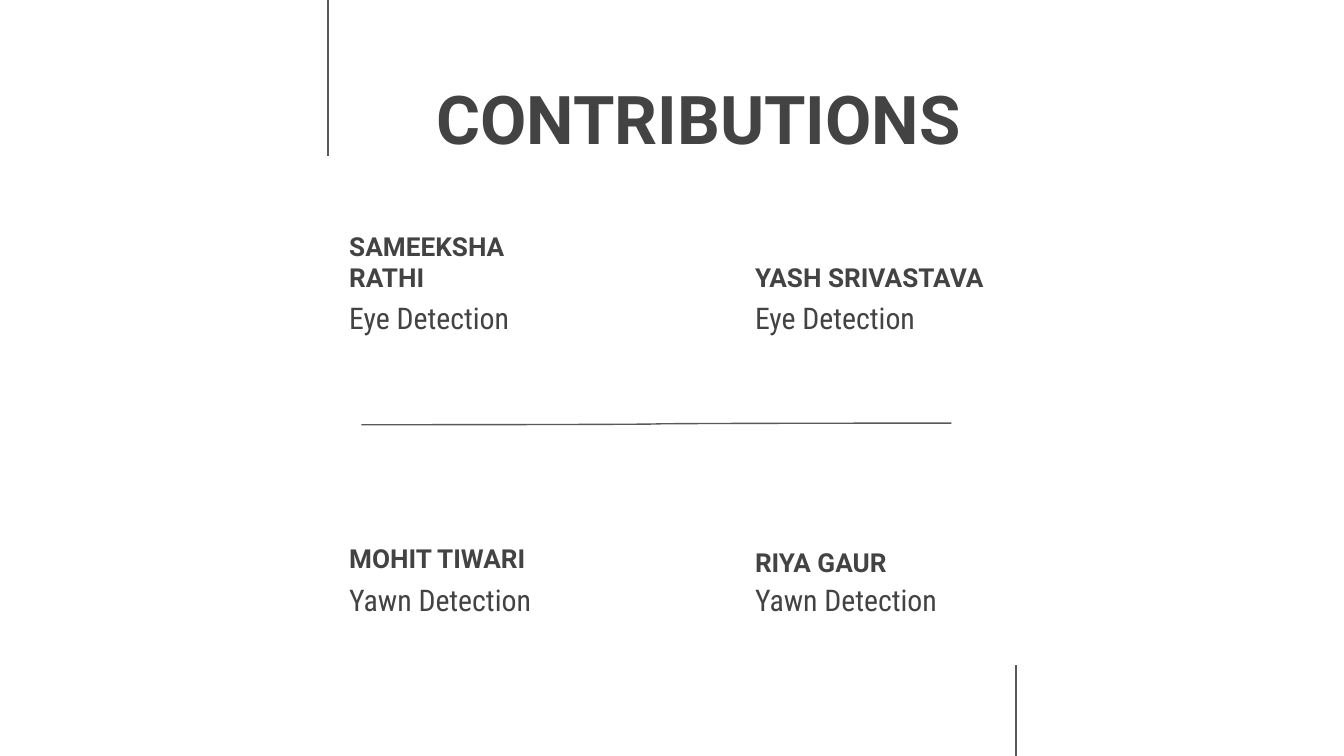
from lxml.etree import SubElement
from pptx import Presentation
from pptx.dml.color import RGBColor
from pptx.enum.shapes import MSO_CONNECTOR
from pptx.enum.text import MSO_ANCHOR, MSO_AUTO_SIZE, PP_ALIGN
from pptx.oxml.ns import qn
from pptx.util import Cm, Pt

INK = "434343"
RULE = "595959"
HEAD = {"name": "Roboto", "size": Pt(36), "bold": True}
NAME = {"name": "Roboto", "size": Pt(14), "bold": True}
ROLE = {"name": "Roboto Condensed", "size": Pt(16), "bold": False}
FRAME = {
    "word_wrap": True,
    "auto_size": MSO_AUTO_SIZE.NONE,
    "margin_left": Cm(0.25),
    "margin_right": Cm(0.25),
    "margin_top": Cm(0.25),
    "margin_bottom": Cm(0.25),
}
WIDE = 4.95
PEOPLE = [
    (6.35, 4.6, 5.41, "SAMEEKSHA RATHI", "Eye Detection"),
    (6.35, 9.91, 10.74, "MOHIT TIWARI", "Yawn Detection"),
    (14.02, 4.6, 5.41, "YASH SRIVASTAVA", "Eye Detection"),
    (14.02, 9.98, 10.74, "RIYA GAUR", "Yawn Detection"),
]


def paint(color, code):
    color.rgb = RGBColor.from_string(code)


def apply(thing, values):
    for key, value in values.items():
        setattr(thing, key, value)


def write(shape, text, font, anchor):
    frame = shape.text_frame
    apply(frame, FRAME)
    frame.vertical_anchor = anchor
    para = frame.paragraphs[0]
    para.alignment = PP_ALIGN.LEFT
    run = para.add_run()
    run.text = text
    apply(run.font, font)
    paint(run.font.color, INK)
    return para


def add_title(slide, text):
    title = slide.shapes.title
    apply(title, {"left": Cm(5.46), "top": Cm(0.99),
                  "width": Cm(14.48), "height": Cm(2.62)})
    para = write(title, text, HEAD, MSO_ANCHOR.TOP)
    para.line_spacing = 1.15
    props = para._p.get_or_add_pPr()
    for key in ("marL", "indent"):
        props.set(key, str(Cm(1.27)))


def add_text(slide, left, top, tall, text, font, anchor):
    box = slide.shapes.add_textbox(Cm(left), Cm(top), Cm(WIDE), Cm(tall))
    write(box, text, font, anchor)


def add_person(slide, left, top, low, name, role):
    add_text(slide, left, top, 1.19, name, NAME, MSO_ANCHOR.BOTTOM)
    add_text(slide, left, low, 2.79, role, ROLE, MSO_ANCHOR.TOP)


def add_line(slide, kind, *ends):
    line = slide.shapes.add_connector(kind, *map(Cm, ends))
    line.line.width = Pt(0.75)
    paint(line.line.color, RULE)
    SubElement(line._element.spPr, qn("a:effectLst"))


def main():
    deck = Presentation()
    apply(deck, {"slide_width": Cm(25.4), "slide_height": Cm(14.29)})
    slide = deck.slides.add_slide(deck.slide_layouts.get_by_name("Title Only"))
    add_title(slide, "CONTRIBUTIONS")
    for person in PEOPLE:
        add_person(slide, *person)
    add_line(slide, MSO_CONNECTOR.STRAIGHT, 6.2, 0, 6.2, 2.95)
    add_line(slide, MSO_CONNECTOR.STRAIGHT, 19.2, 12.57, 19.2, 14.29)
    add_line(slide, MSO_CONNECTOR.CURVE, 6.83, 8.03, 17.98, 8)
    deck.save("out.pptx")


if __name__ == "__main__":
    main()
